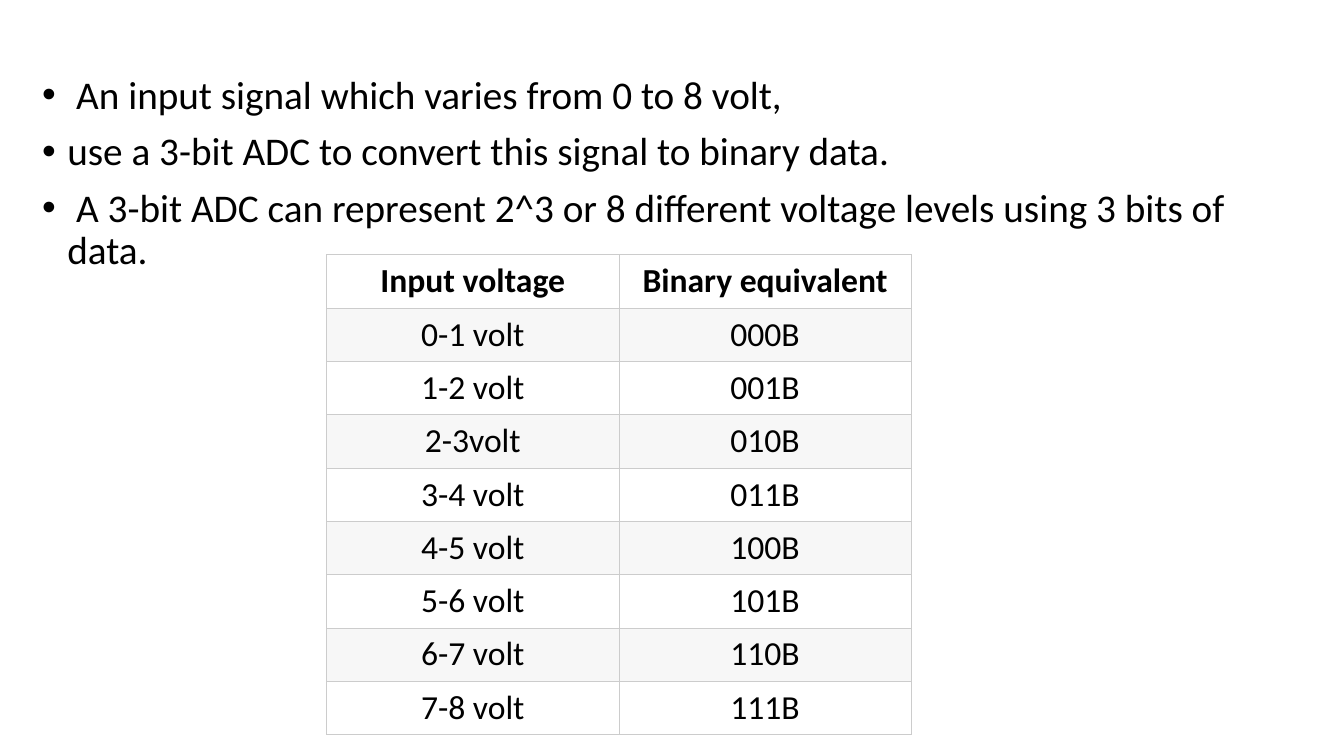
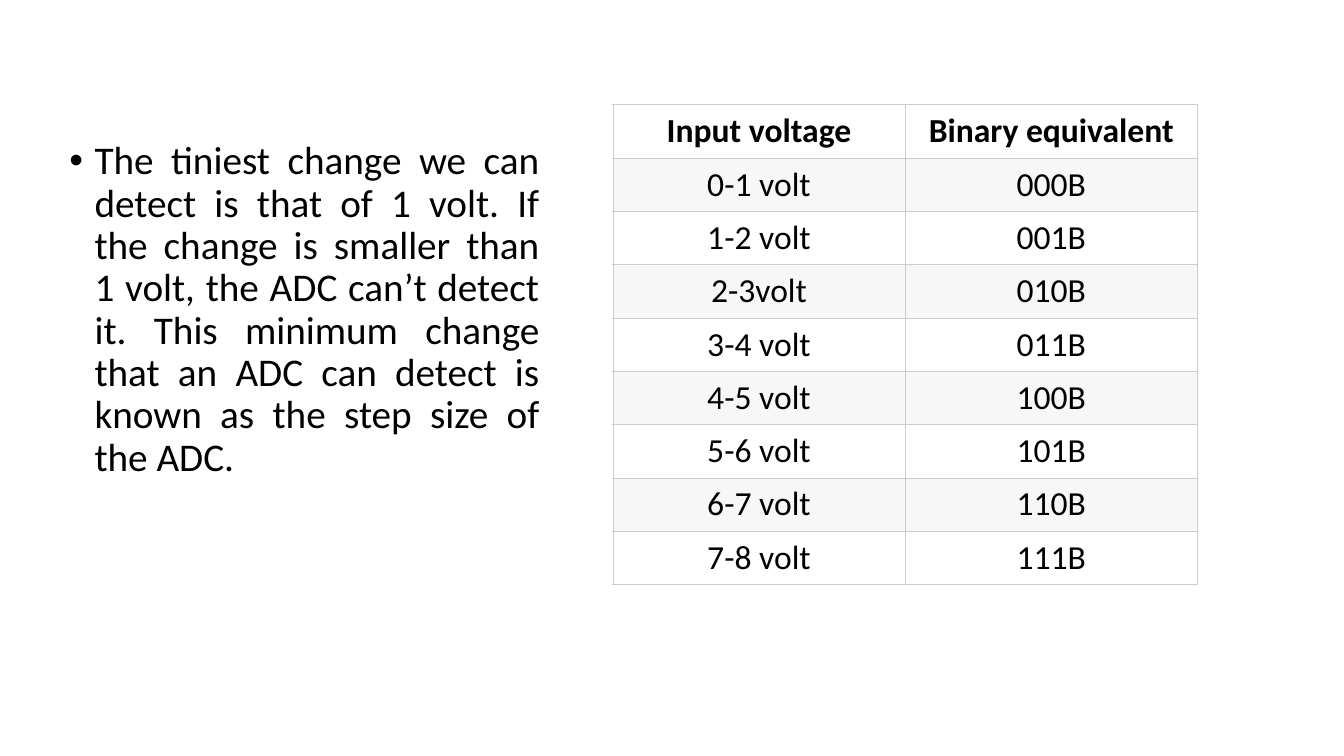
import pptx
import pptx.dml.color
import pptx.enum.text
import pptx.oxml
import pptx.oxml.ns
import pptx.util

RGBColor = pptx.dml.color.RGBColor
PP_ALIGN = pptx.enum.text.PP_ALIGN

BLACK = RGBColor(0x00, 0x00, 0x00)
WHITE = RGBColor(0xFF, 0xFF, 0xFF)
BAND = RGBColor(0xF7, 0xF7, 0xF7)
RULE = RGBColor(0xCC, 0xCC, 0xCC)
FONT = "Calibri"
BULLET_INDENT = pptx.util.Inches(0.25)
RULE_WIDTH = pptx.util.Pt(0.6)

# Table grid, in percent of the slide's width and height
COL_WIDTH, ROW_HEIGHT = 21.75, 7.05
LEVELS = [("Input voltage", "Binary equivalent")]
for level in range(8):
    gap = "" if level == 2 else " "
    LEVELS.append((f"{level}-{level + 1}{gap}volt", f"{level:03b}B"))

# Text box and table corner are in percent of the slide's width and height
SLIDES = [
    {
        "bullets": [
            " An input signal which varies from 0 to 8 volt,",
            "use a 3-bit ADC to convert this signal to binary data.",
            " A 3-bit ADC can represent 2^3 or 8 different voltage levels "
            "using 3 bits of data.",
        ],
        "align": PP_ALIGN.LEFT,
        "text_box": (2.4, 9.33, 90.75, 80.67),
        "table_corner": (24.3, 33.7),
    },
    {
        "bullets": [
            "The tiniest change we can detect is that of 1 volt. If the change "
            "is smaller than 1 volt, the ADC can’t detect it. This minimum "
            "change that an ADC can detect is known as the step size of the ADC.",
        ],
        "align": PP_ALIGN.JUSTIFY,
        "text_box": (4.42, 18, 36.45, 72),
        "table_corner": (45.6, 13.87),
    },
]

prs = pptx.Presentation()
prs.slide_width = pptx.util.Inches(13.33)
prs.slide_height = pptx.util.Inches(7.5)


def place(left, top, width, height):
    """Turn percentages of the slide into lengths."""
    w, h = prs.slide_width / 100, prs.slide_height / 100
    return [round(n) for n in (left * w, top * h, width * w, height * h)]


def style(p, size, bold=False):
    for r in p.runs:
        r.font.name = FONT
        r.font.size = pptx.util.Pt(size)
        r.font.bold = bold
        r.font.color.rgb = BLACK


for content in SLIDES:
    s = prs.slides.add_slide(prs.slide_layouts[6])

    tf = s.shapes.add_textbox(*place(*content["text_box"])).text_frame
    tf.word_wrap = True
    for i, bullet in enumerate(content["bullets"]):
        p = tf.add_paragraph() if i else tf.paragraphs[0]
        p.text = bullet
        pPr = p._p.get_or_add_pPr()
        pPr.set("marL", str(BULLET_INDENT))
        pPr.set("indent", str(-BULLET_INDENT))
        for tag, key, value in (("buFont", "typeface", "Arial"), ("buChar", "char", "•")):
            pPr.append(pptx.oxml.parse_xml(
                f'<a:{tag} {pptx.oxml.ns.nsdecls("a")} {key}="{value}"/>'))
        p.alignment = content["align"]
        p.line_spacing = 0.9
        p.space_before = pptx.util.Pt(10 if i else 0)
        style(p, 28)

    frame = place(*content["table_corner"], 2 * COL_WIDTH, len(LEVELS) * ROW_HEIGHT)
    table = s.shapes.add_table(len(LEVELS), 2, *frame).table
    table.first_row = table.horz_banding = False
    for row, texts in enumerate(LEVELS):
        for col, text in enumerate(texts):
            cell = table.cell(row, col)
            tcPr = cell._tc.get_or_add_tcPr()
            for side in "LRTB":
                tcPr.append(pptx.oxml.parse_xml(
                    f'<a:ln{side} {pptx.oxml.ns.nsdecls("a")} w="{RULE_WIDTH}">'
                    f'<a:solidFill><a:srgbClr val="{RULE}"/></a:solidFill></a:ln{side}>'))
            cell.fill.solid()
            cell.fill.fore_color.rgb = BAND if row % 2 else WHITE
            cell.margin_left = cell.margin_right = 0
            cell.margin_top = cell.margin_bottom = 0
            cell.vertical_anchor = pptx.enum.text.MSO_ANCHOR.MIDDLE
            cell.text = text
            p = cell.text_frame.paragraphs[0]
            p.alignment = PP_ALIGN.CENTER
            style(p, 24, bold=row == 0)

prs.save("out.pptx")
